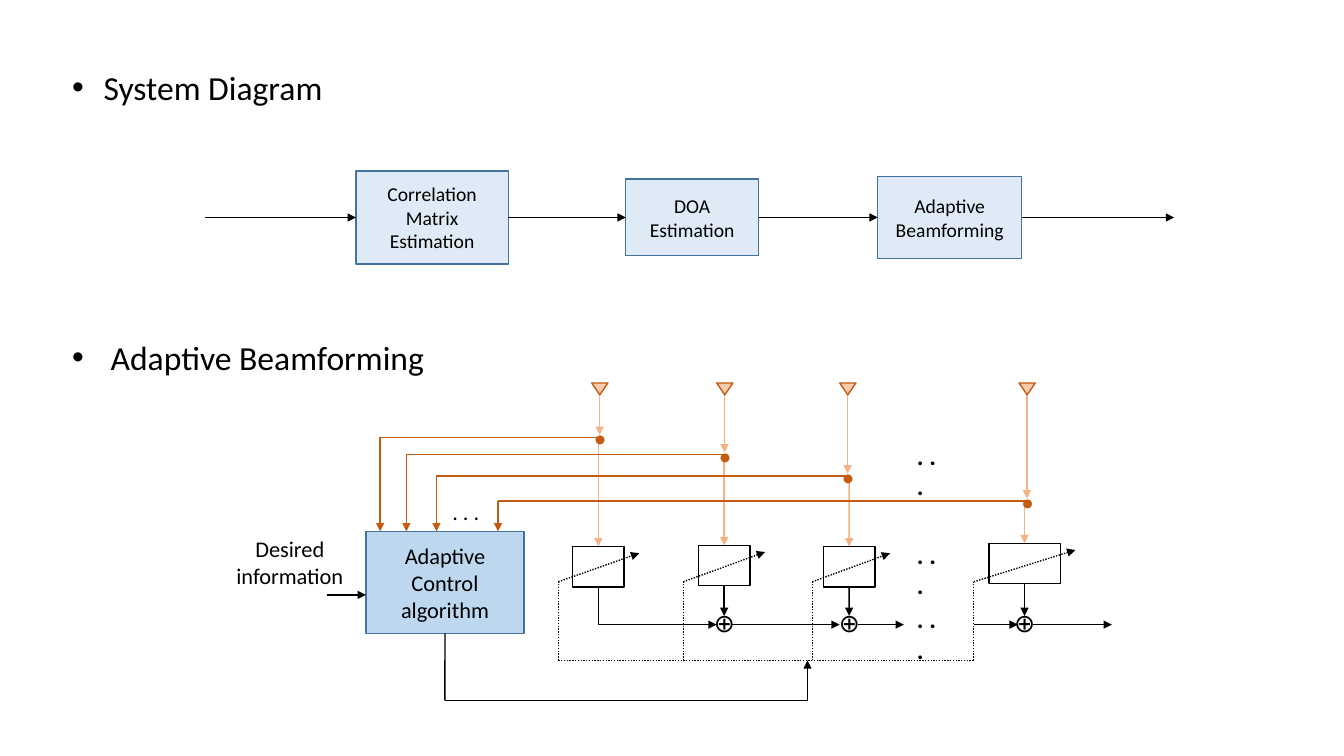
from dataclasses import dataclass
from typing import Optional

from lxml import etree
from pptx import Presentation
from pptx import util as u
from pptx.dml.color import RGBColor
from pptx.enum import dml, shapes, text
from pptx.oxml.ns import qn

BLACK = RGBColor(0x00, 0x00, 0x00)
BLUE_EDGE = RGBColor(0x43, 0x73, 0x9E)
PALE_BLUE = RGBColor(0xDE, 0xEB, 0xF7)
MID_BLUE = RGBColor(0xBD, 0xD7, 0xEE)
RUST = RGBColor(0xC5, 0x5A, 0x11)
PEACH = RGBColor(0xF4, 0xB1, 0x83)
PALE_PEACH = RGBColor(0xF8, 0xCB, 0xAD)

TOP, LEFT, BOTTOM, RIGHT = range(4)


@dataclass(frozen=True)
class Stage:
    lines: tuple[str, ...]
    left: float
    width: float
    height: float


@dataclass(frozen=True)
class Channel:
    antenna_x: float
    bus_y: float
    feed_x: float
    weight_left: float
    weight_top: float
    weight_width: float
    control_x: float


@dataclass(frozen=True)
class Label:
    lines: tuple[str, ...]
    left: float
    top: float
    width: float
    height: float
    size: int
    bold: bool = False
    indent: float = 0
    centred: bool = False


STAGES = (
    Stage(("Correlation", "Matrix", "Estimation"), 8.97, 3.84, 2.34),
    Stage(("DOA", "Estimation"), 15.77, 3.35, 1.93),
    Stage(("Adaptive", "Beamforming"), 22.12, 3.63, 2.06),
)
CHANNELS = (
    Channel(15.11, 11.02, 9.58, 14.43, 13.77, 1.3, 14.07),
    Channel(18.26, 11.46, 10.24, 17.6, 13.74, 1.3, 17.22),
    Channel(21.36, 11.99, 11.0, 20.75, 13.77, 1.3, 20.47),
    Channel(25.88, 12.62, 12.55, 24.92, 13.69, 1.8, 24.54),
)
LABELS = (
    Label(("System Diagram",), 1.57, 1.55, 7.72, 1.27, 24, indent=0.79),
    Label(("Adaptive Beamforming",), 1.57, 8.36, 9.7, 1.27, 24, indent=0.97),
    Label(("Desired", "information"), 5.64, 13.36, 3.33, 1.63, 16, centred=True),
    Label((". . .",), 11.15, 12.42, 1.24, 0.94, 16),
    *(Label((". . .",), 22.86, top, 1.24, 1.02, 18, bold=True)
      for top in (10.97, 13.46, 15.09)),
)
FLOW_Y = 5.48
CONTROL_TOP = 13.39
WEIGHT_HEIGHT = 1.02
SUM_Y = 15.74
CONTROL_BUS_Y = 16.64
RETURN_X, RETURN_Y = 20.35, 17.65

prs = Presentation()
prs.slide_width, prs.slide_height = u.Cm(33.87), u.Cm(19.05)
slide = prs.slides.add_slide(prs.slide_layouts[6])


def write(frame, lines: tuple[str, ...], size: int, color: RGBColor = BLACK,
          bold: bool = False, indent: float = 0, centred: bool = False) -> None:
    frame.word_wrap = True
    for index, line in enumerate(lines):
        paragraph = frame.paragraphs[0] if index == 0 else frame.add_paragraph()
        paragraph.text = line
        paragraph.alignment = text.PP_ALIGN.CENTER if centred else text.PP_ALIGN.LEFT
        if indent:
            properties = paragraph._p.get_or_add_pPr()
            properties.set("marL", str(u.Cm(indent)))
            properties.set("indent", str(-u.Cm(indent)))
            etree.SubElement(properties, qn("a:buFont")).set("typeface", "Arial")
            etree.SubElement(properties, qn("a:buChar")).set("char", "•")
        paragraph.font.name = "Calibri"
        paragraph.font.size = u.Pt(size)
        paragraph.font.bold = bold
        paragraph.font.color.rgb = color


def add_label(label: Label, color: RGBColor = BLACK) -> None:
    box = slide.shapes.add_textbox(u.Cm(label.left), u.Cm(label.top),
                                   u.Cm(label.width), u.Cm(label.height))
    write(box.text_frame, label.lines, label.size, color,
          label.bold, label.indent, label.centred)


def add_block(left: float, top: float, width: float, height: float,
              edge: RGBColor = BLACK, fill: Optional[RGBColor] = None,
              lines: tuple[str, ...] = (), size: int = 14,
              kind=shapes.MSO_SHAPE.RECTANGLE):
    block = slide.shapes.add_shape(kind, u.Cm(left), u.Cm(top), u.Cm(width), u.Cm(height))
    block.shadow.inherit = False
    block.line.color.rgb = edge
    block.line.width = u.Pt(1)
    if fill is None:
        block.fill.background()
    else:
        block.fill.solid()
        block.fill.fore_color.rgb = fill
    if lines:
        frame = block.text_frame
        frame.margin_left = frame.margin_right = u.Cm(0.1)
        frame.vertical_anchor = text.MSO_ANCHOR.MIDDLE
        write(frame, lines, size, centred=True)
    return block


def add_wire(x1: float, y1: float, x2: float, y2: float, color: RGBColor = BLACK,
             arrow: bool = True, dotted: bool = False):
    wire = slide.shapes.add_connector(shapes.MSO_CONNECTOR.STRAIGHT,
                                      u.Cm(x1), u.Cm(y1), u.Cm(x2), u.Cm(y2))
    wire.line.color.rgb = color
    wire.line.width = u.Pt(1)
    if dotted:
        wire.line.dash_style = dml.MSO_LINE.ROUND_DOT
    if arrow:
        etree.SubElement(wire.line._get_or_add_ln(), qn("a:tailEnd")).set("type", "triangle")
    etree.SubElement(wire._element.spPr, qn("a:effectLst"))
    return wire


def draw_system() -> None:
    blocks = [add_block(s.left, FLOW_Y - s.height / 2, s.width, s.height,
                        BLUE_EDGE, PALE_BLUE, s.lines) for s in STAGES]
    starts = [5.16] + [s.left + s.width for s in STAGES]
    ends = [s.left for s in STAGES] + [29.59]
    for start, end, source, target in zip(starts, ends, [None] + blocks, blocks + [None]):
        flow = add_wire(start, FLOW_Y, end, FLOW_Y)
        if source is not None:
            flow.begin_connect(source, RIGHT)
        if target is not None:
            flow.end_connect(target, LEFT)


def draw_channel(channel: Channel, first: bool) -> None:
    x, bus_y, weight_top = channel.antenna_x, channel.bus_y, channel.weight_top
    weight_x = channel.weight_left + channel.weight_width / 2
    weight_bottom = weight_top + WEIGHT_HEIGHT

    weight = add_block(channel.weight_left, weight_top, channel.weight_width, WEIGHT_HEIGHT)
    add_wire(weight_x, bus_y, weight_x, weight_top, PEACH).end_connect(weight, TOP)
    add_wire(x, 9.93, x, bus_y - 0.06, PEACH)
    add_wire(channel.feed_x, bus_y, x, bus_y, RUST, arrow=False)
    add_wire(channel.feed_x, bus_y, channel.feed_x, CONTROL_TOP, RUST)
    add_label(Label(("•",), x - 0.39, bus_y - 0.5, 0.79, 1.02, 18), RUST)
    antenna = add_block(x - 0.2, 9.65, 0.41, 0.3, RUST, PALE_PEACH,
                        kind=shapes.MSO_SHAPE.ISOSCELES_TRIANGLE)
    antenna.rotation = 180

    sum_end = SUM_Y if first else SUM_Y - 0.22
    output = add_wire(weight_x, weight_bottom, weight_x, sum_end, arrow=not first)
    output.begin_connect(weight, BOTTOM)
    if not first:
        add_label(Label(("⊕",), weight_x - 0.51, SUM_Y - 0.56, 0.97, 1.02, 18))
    add_wire(channel.control_x, CONTROL_BUS_Y, channel.control_x, 14.66,
             arrow=False, dotted=True)
    add_wire(channel.control_x, 14.66, channel.weight_left + channel.weight_width + 0.38,
             weight_top + 0.17, dotted=True)


def draw_beamformer() -> None:
    for index, channel in enumerate(CHANNELS):
        draw_channel(channel, index == 0)
    for start, end in ((15.08, 18.06), (18.44, 21.16), (21.62, 22.78),
                       (24.54, 25.65), (26.04, 28.02)):
        add_wire(start, SUM_Y, end, SUM_Y)
    add_wire(CHANNELS[0].control_x, CONTROL_BUS_Y, CHANNELS[-1].control_x, CONTROL_BUS_Y,
             arrow=False, dotted=True)

    control = add_block(9.22, CONTROL_TOP, 3.99, 2.57, BLUE_EDGE, MID_BLUE,
                        ("Adaptive", "Control", "algorithm"), 16)
    add_wire(8.23, 14.99, 9.22, 14.99)
    add_wire(11.21, 15.96, 11.21, RETURN_Y, arrow=False).begin_connect(control, BOTTOM)
    add_wire(11.21, RETURN_Y, RETURN_X, RETURN_Y, arrow=False)
    add_wire(RETURN_X, RETURN_Y, RETURN_X, CONTROL_BUS_Y)


def main() -> None:
    draw_system()
    draw_beamformer()
    for label in LABELS:
        add_label(label)
    prs.save("out.pptx")


if __name__ == "__main__":
    main()
